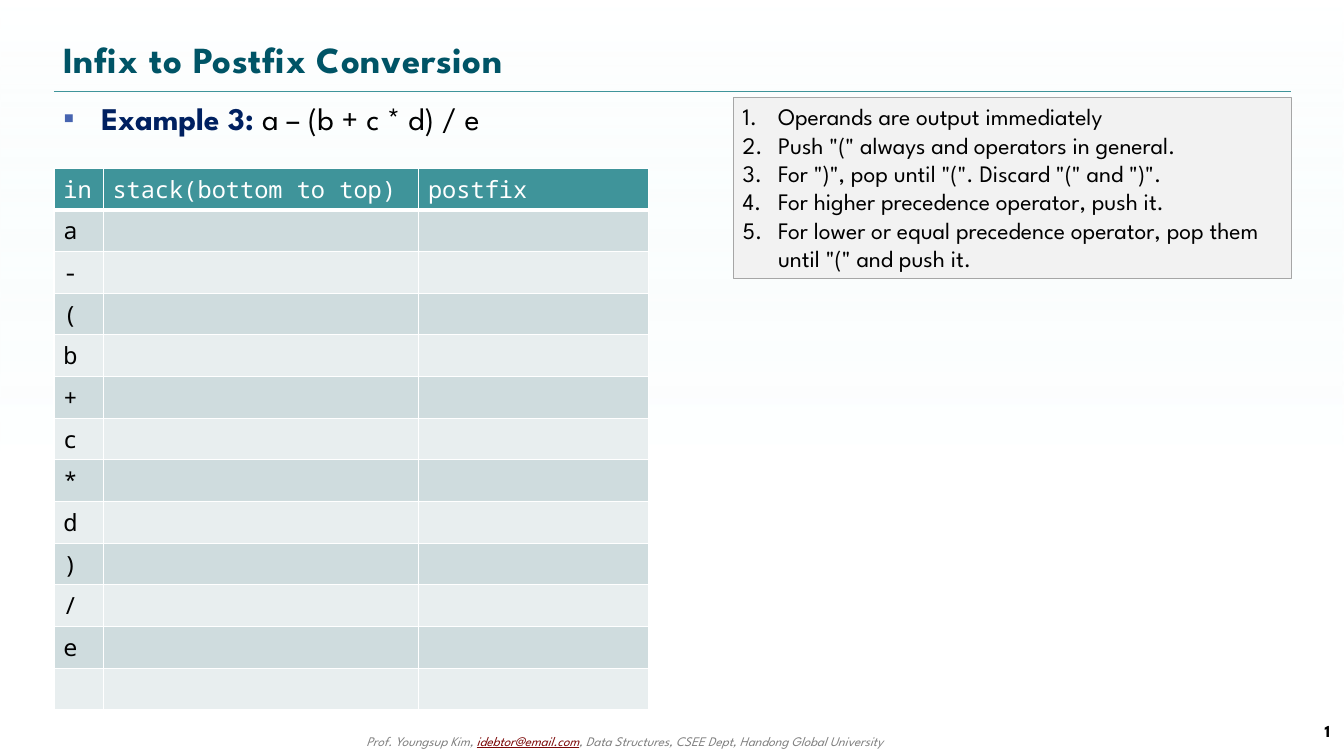
from lxml.etree import SubElement
from pptx import Presentation
from pptx.dml.color import RGBColor
from pptx.enum.shapes import MSO_CONNECTOR, MSO_SHAPE
from pptx.enum.text import MSO_ANCHOR, MSO_AUTO_SIZE, PP_ALIGN
from pptx.oxml.ns import qn
from pptx.util import Cm, Pt

COLORS = {
    "sky": "D9F3F4", "white": "FFFFFF", "black": "000000", "teal": "3F949A",
    "title": "005466", "navy": "002060", "bullet": "4764B0", "gray": "808080",
    "link": "7C0808", "band_dark": "CFDCDE", "band_light": "E8EEEF",
    "panel": "F2F2F2", "panel_line": "A6A6A6",
}
SANS, MONO = "League Spartan", "Noto Sans Mono"
LEFT, CONTENT_WIDTH = Cm(1.45), Cm(33.25)
COLUMN_WIDTHS = [1.32, 8.48, 6.17]
HEADERS = ["in", "stack(bottom to top)", "postfix"]
TOKENS = ["a", "-", "(", "b", "+", "c", "*", "d", ")", "/", "e", ""]
RULES = [
    "Operands are output immediately",
    'Push "(" always and operators in general.',
    'For ")", pop until "(". Discard "(" and ")".',
    "For higher precedence operator, push it.",
    'For lower or equal precedence operator, pop them until "(" and push it.',
]


def color(name):
    """Return the named colour."""
    return RGBColor.from_string(COLORS[name])


def style(span, size, color_name, font=SANS, bold=False, italic=False):
    """Format one run."""
    span.font.name, span.font.size = font, Pt(size)
    span.font.bold, span.font.italic = bold, italic
    span.font.color.rgb = color(color_name)


def add_span(para, text, *look, **options):
    """Append a formatted run to a paragraph."""
    span = para.add_run()
    span.text = text
    style(span, *look, **options)
    return span


def set_bullet(para, indent, tag, color_name=None, **attributes):
    """Give a paragraph a hanging indent and a bullet or number."""
    properties = para._p.get_or_add_pPr()
    properties.set("marL", str(indent))
    properties.set("indent", str(-indent))
    if color_name:
        holder = SubElement(properties, qn("a:buClr"))
        SubElement(holder, qn("a:srgbClr"), val=COLORS[color_name])
    SubElement(properties, qn(tag), **attributes)


def place(shape, left, top, width, height):
    """Move and resize a shape."""
    shape.left, shape.top, shape.width, shape.height = left, top, width, height


def add_backdrop(slide, width, height):
    """Cover the page with a faint gradient."""
    backdrop = slide.shapes.add_shape(MSO_SHAPE.RECTANGLE, 0, 0, width, height)
    backdrop.shadow.inherit = False
    backdrop.line.fill.background()
    backdrop.fill.gradient()
    backdrop.fill.gradient_angle = 270
    looks = [("sky", 0, 0), ("white", 0.61, 40000)]
    for stop, (name, position, alpha) in zip(backdrop.fill.gradient_stops, looks):
        stop.color.rgb, stop.position = color(name), position
        SubElement(stop._gs[0], qn("a:alpha"), val=str(alpha))
    slide.shapes._spTree.insert(2, backdrop._element)


def add_divider(slide):
    """Draw the thin line below the title."""
    top = Cm(2.44)
    line = slide.shapes.add_connector(
        MSO_CONNECTOR.STRAIGHT, LEFT, top, LEFT + CONTENT_WIDTH, top)
    line.line.color.rgb, line.line.width = color("teal"), Pt(0.25)
    SubElement(line._element.spPr, qn("a:effectLst"))


def fill_title(title):
    """Write the slide title."""
    place(title, LEFT, Cm(0.81), CONTENT_WIDTH, Cm(1.52))
    frame = title.text_frame
    frame.text = "Infix to Postfix Conversion"
    frame.auto_size, frame.vertical_anchor = MSO_AUTO_SIZE.NONE, MSO_ANCHOR.MIDDLE
    para = frame.paragraphs[0]
    para.alignment = PP_ALIGN.LEFT
    style(para.runs[0], 28, "title", bold=True)
    para.runs[0].font._element.set("spc", "50")


def fill_body(body):
    """Write the example as a bulleted line."""
    place(body, LEFT, Cm(2.54), CONTENT_WIDTH, Cm(16.31))
    body.text_frame.auto_size = MSO_AUTO_SIZE.NONE
    para = body.text_frame.paragraphs[0]
    set_bullet(para, Cm(1.02), "a:buChar", "bullet", char="▪")
    add_span(para, "Example 3: ", 24, "navy", bold=True)
    add_span(para, "a – (b + c * d) / e", 24, "black")


def format_cell(cell, text, text_color, fill_color, bottom_width):
    """Fill a table cell and give it white borders."""
    cell.text = text
    for span in cell.text_frame.paragraphs[0].runs:
        style(span, 18, text_color, font=MONO)
    properties = cell._tc.get_or_add_tcPr()
    for side, width in (("L", 1), ("R", 1), ("T", 1), ("B", bottom_width)):
        border = SubElement(properties, qn(f"a:ln{side}"), w=str(Pt(width)))
        fill = SubElement(border, qn("a:solidFill"))
        SubElement(fill, qn("a:srgbClr"), val=COLORS["white"])
    cell.fill.solid()
    cell.fill.fore_color.rgb = color(fill_color)


def add_trace_table(slide):
    """Add the conversion table, one row for each input token."""
    rows = [HEADERS] + [[token, "", ""] for token in TOKENS]
    row_height = Cm(1.12)
    table = slide.shapes.add_table(
        len(rows), len(HEADERS), LEFT, Cm(4.52),
        Cm(sum(COLUMN_WIDTHS)), row_height * len(rows)).table
    for column, width in zip(table.columns, COLUMN_WIDTHS):
        column.width = Cm(width)
    for r, texts in enumerate(rows):
        band = "band_dark" if r % 2 else "band_light"
        look = (band, 1) if r else ("teal", 3)
        for c, text in enumerate(texts):
            format_cell(table.cell(r, c), text, "black" if r else "white", *look)


def add_rules(slide):
    """Add the panel with the numbered rules."""
    panel = slide.shapes.add_shape(
        MSO_SHAPE.RECTANGLE, Cm(19.71), Cm(2.62), Cm(14.99), Cm(4.88))
    panel.shadow.inherit = False
    panel.fill.solid()
    panel.fill.fore_color.rgb = color("panel")
    panel.line.color.rgb, panel.line.width = color("panel_line"), Pt(0.75)
    frame = panel.text_frame
    frame.word_wrap, frame.vertical_anchor = True, MSO_ANCHOR.TOP
    frame.auto_size = MSO_AUTO_SIZE.SHAPE_TO_FIT_TEXT
    frame.text = "\n".join(RULES)
    for para in frame.paragraphs:
        para.alignment = PP_ALIGN.LEFT
        set_bullet(para, Cm(0.95), "a:buAutoNum", type="arabicPeriod")
        style(para.runs[0], 18, "black")


def add_text_box(slide, left, top, width, height):
    """Add a wrapping text box and return its frame."""
    frame = slide.shapes.add_textbox(Cm(left), Cm(top), Cm(width), Cm(height)).text_frame
    frame.word_wrap = True
    return frame


def add_footer(slide):
    """Add the credit line and the page number."""
    para = add_text_box(slide, 9.6, 19.58, 16.99, 0.64).paragraphs[0]
    add_span(para, "Prof. Youngsup Kim, ", 10, "gray", italic=True)
    address = add_span(para, "idebtor@email.com", 10, "link", italic=True)
    address.font.underline = True
    add_span(para, ", Data Structures, CSEE Dept, Handong Global University",
             10, "gray", italic=True)
    frame = add_text_box(slide, 32.82, 19.1, 3.18, 1.09)
    frame.vertical_anchor = MSO_ANCHOR.MIDDLE
    frame.paragraphs[0].alignment = PP_ALIGN.RIGHT
    add_span(frame.paragraphs[0], "1", 12.8, "black", bold=True)


def main():
    """Build the slide and save the deck."""
    deck = Presentation()
    deck.slide_width, deck.slide_height = Cm(36.12), Cm(20.32)
    slide = deck.slides.add_slide(deck.slide_layouts[1])
    add_backdrop(slide, deck.slide_width, deck.slide_height)
    add_divider(slide)
    fill_title(slide.shapes.title)
    fill_body(slide.placeholders[1])
    add_trace_table(slide)
    add_rules(slide)
    add_footer(slide)
    deck.save("out.pptx")


if __name__ == "__main__":
    main()
